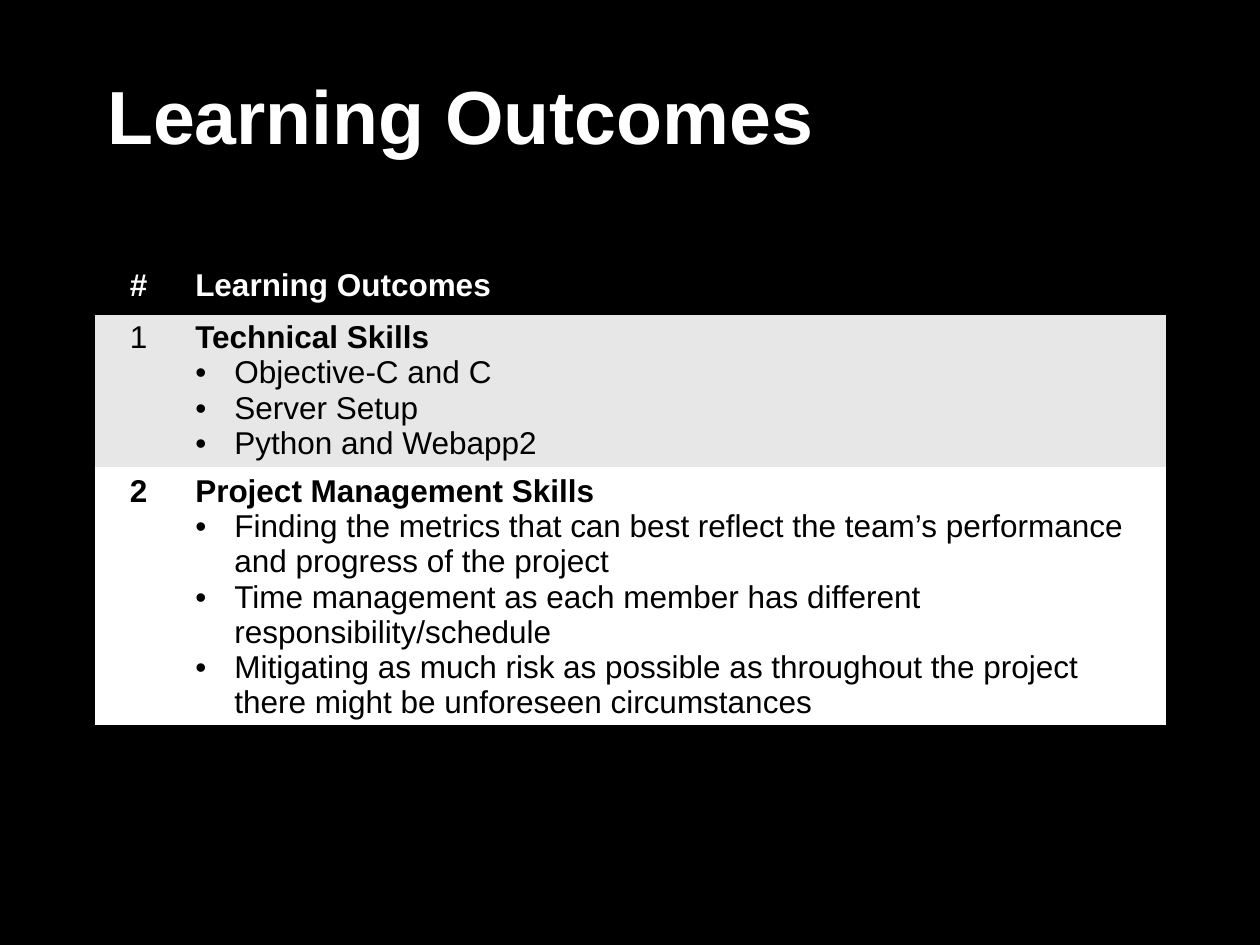
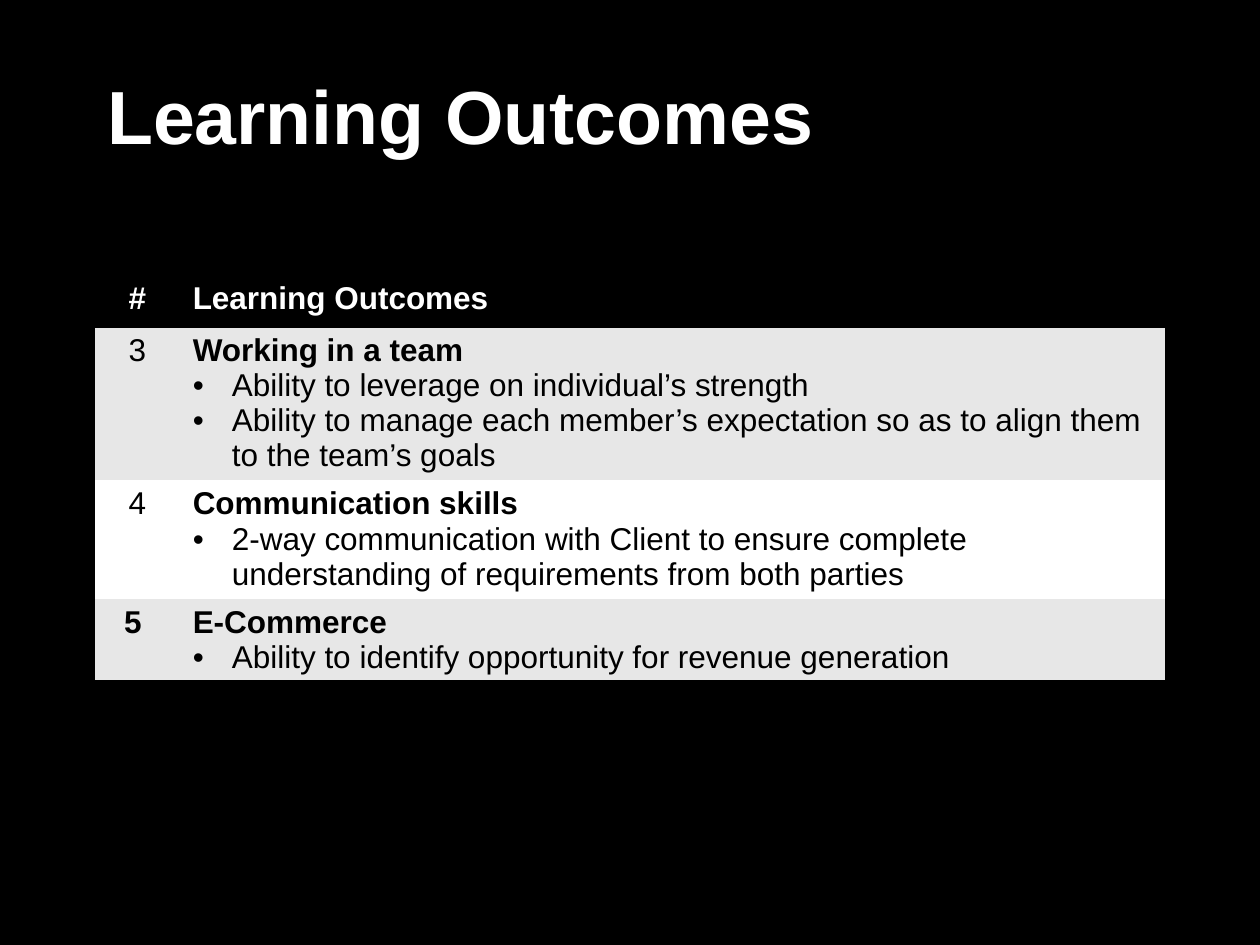
from lxml.etree import SubElement
from pptx import Presentation
from pptx.dml.color import RGBColor
from pptx.enum.text import MSO_ANCHOR, MSO_AUTO_SIZE, PP_ALIGN
from pptx.oxml.ns import qn
from pptx.util import Inches, Pt

TITLE = "Learning Outcomes"
HEADER = ("#", "Learning Outcomes")
# Each outcome: number, is the number bold, heading, bullets
SLIDES = [
    {"top": 2.08, "height": 3.91, "number_width": 0.7, "outcomes": [
        ("1", False, "Technical Skills", [
            "Objective-C and C",
            "Server Setup",
            "Python and Webapp2"]),
        ("2", True, "Project Management Skills", [
            "Finding the metrics that can best reflect the team’s performance and progress of the project",
            "Time management as each member has different responsibility/schedule",
            "Mitigating as much risk as possible as throughout the project there might be "
            "unforeseen circumstances"]),
    ]},
    {"top": 2.18, "height": 3.41, "number_width": 0.68, "outcomes": [
        ("3", False, "Working in a team", [
            "Ability to leverage on individual’s strength",
            "Ability to manage each member’s expectation so as to align them to the team’s goals"]),
        ("4", False, "Communication skills", [
            "2-way communication with Client to ensure complete understanding of "
            "requirements from both parties"]),
        ("5 ", True, "E-Commerce", [
            "Ability to identify opportunity for revenue generation"]),
    ]},
]

BLACK, WHITE, GREY = "000000", "FFFFFF", "E7E7E7"
BANDS = (GREY, WHITE)
FONT = "Arial"
TITLE_SIZE, TABLE_SIZE = 43, 18
LEFT, WIDTH = 0.75, 8.5
TITLE_TOP, TITLE_HEIGHT = 0.13, 1.56
ROW_HEIGHT, INDENT, RULE = 0.41, 0.31, 2
PLAIN_TABLE_STYLE = "{2D5ABB26-0587-4C30-8999-92F81FD0307C}"


def rgb(color):
    return RGBColor.from_string(color)


def write(para, text, size, color, bold):
    span = para.add_run()
    span.text = text
    for name, value in {"name": FONT, "size": Pt(size), "bold": bold}.items():
        setattr(span.font, name, value)
    span.font.color.rgb = rgb(color)


def add_bullet(para):
    props = para._p.get_or_add_pPr()
    props.set("marL", str(Inches(INDENT)))
    props.set("indent", str(-Inches(INDENT)))
    SubElement(props, qn("a:buFont"), typeface=FONT)
    SubElement(props, qn("a:buChar"), char="•")


def fill_cell(cell, fill, rules):
    """Fill the cell and rule the named sides; rules come before the fill in XML."""
    props = cell._tc.get_or_add_tcPr()
    for side in rules:
        line = SubElement(props, qn(f"a:ln{side}"), w=str(Pt(RULE)))
        SubElement(SubElement(line, qn("a:solidFill")), qn("a:srgbClr"), val=BLACK)
    cell.fill.solid()
    cell.fill.fore_color.rgb = rgb(fill)


def write_row(cells, number, number_bold, heading, bullets, color):
    number_para = cells[0].text_frame.paragraphs[0]
    number_para.alignment = PP_ALIGN.CENTER
    write(number_para, number, TABLE_SIZE, color, number_bold)
    frame = cells[1].text_frame
    write(frame.paragraphs[0], heading, TABLE_SIZE, color, True)
    for bullet in bullets:
        para = frame.add_paragraph()
        add_bullet(para)
        write(para, bullet, TABLE_SIZE, color, False)


def add_title(page):
    title = page.shapes.title
    place = {"left": LEFT, "top": TITLE_TOP, "width": WIDTH, "height": TITLE_HEIGHT}
    for name, value in place.items():
        setattr(title, name, Inches(value))
    frame = title.text_frame
    frame.auto_size = MSO_AUTO_SIZE.NONE
    frame.vertical_anchor = MSO_ANCHOR.MIDDLE
    para = frame.paragraphs[0]
    para.alignment = PP_ALIGN.LEFT
    write(para, TITLE, TITLE_SIZE, WHITE, True)


def add_outcomes(page, top, height, number_width, outcomes):
    holder = page.shapes.add_table(len(outcomes) + 1, 2, Inches(LEFT), Inches(top),
                                   Inches(WIDTH), Inches(height))
    table = holder.table
    table._tbl.tblPr.find(qn("a:tableStyleId")).text = PLAIN_TABLE_STYLE
    for column, width in zip(table.columns, (number_width, WIDTH - number_width)):
        column.width = Inches(width)
    for index, row in enumerate(table.rows):
        row.height = Inches(ROW_HEIGHT)
        if index == 0:
            fill, rules = BLACK, "TB"
            write_row(row.cells, HEADER[0], True, HEADER[1], [], WHITE)
        else:
            fill = BANDS[(index - 1) % 2]
            rules = "B" if index == len(outcomes) else ""
            write_row(row.cells, *outcomes[index - 1], BLACK)
        for cell in row.cells:
            fill_cell(cell, fill, rules)
    holder.height = Inches(height)


def main():
    deck = Presentation()
    deck.slide_width, deck.slide_height = Inches(10), Inches(7.5)
    background = deck.slide_master.background.fill
    background.solid()
    background.fore_color.rgb = rgb(BLACK)
    title_only = deck.slide_layouts.get_by_name("Title Only")
    for content in SLIDES:
        page = deck.slides.add_slide(title_only)
        add_title(page)
        add_outcomes(page, **content)
    deck.save("out.pptx")


if __name__ == "__main__":
    main()
